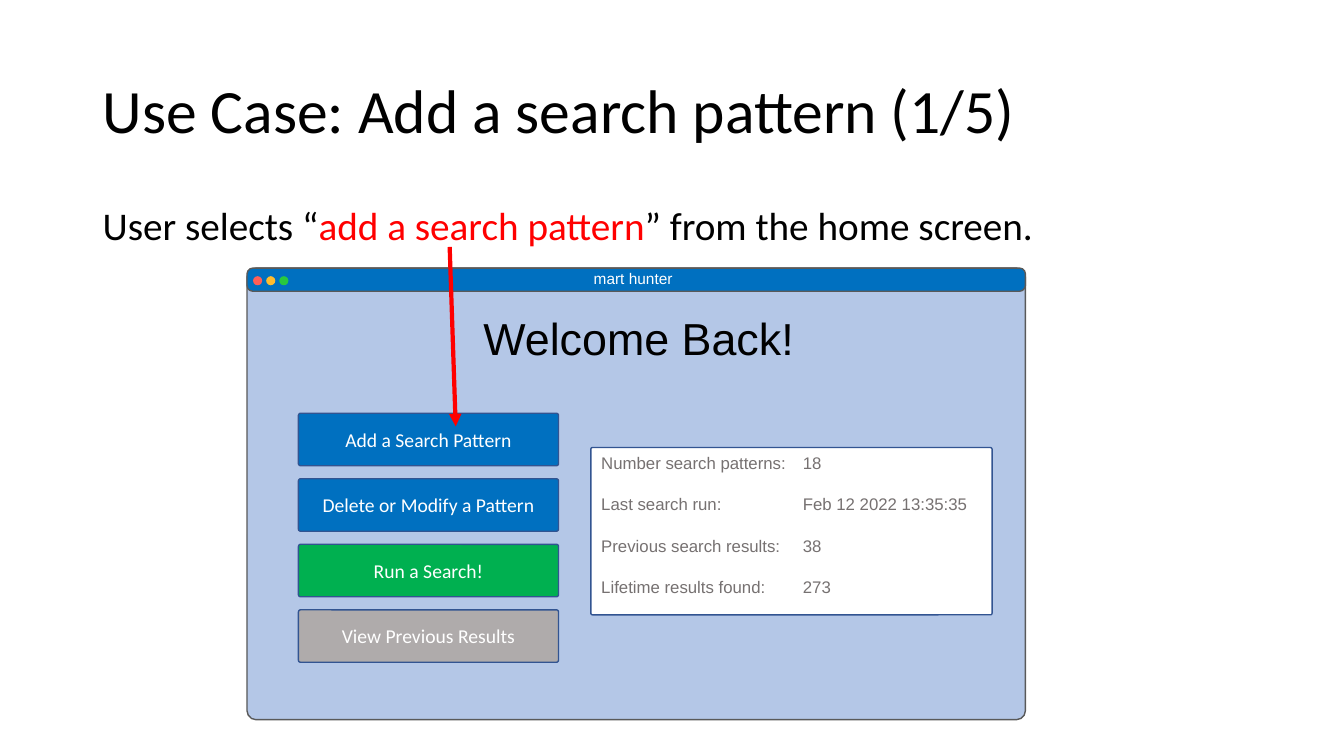
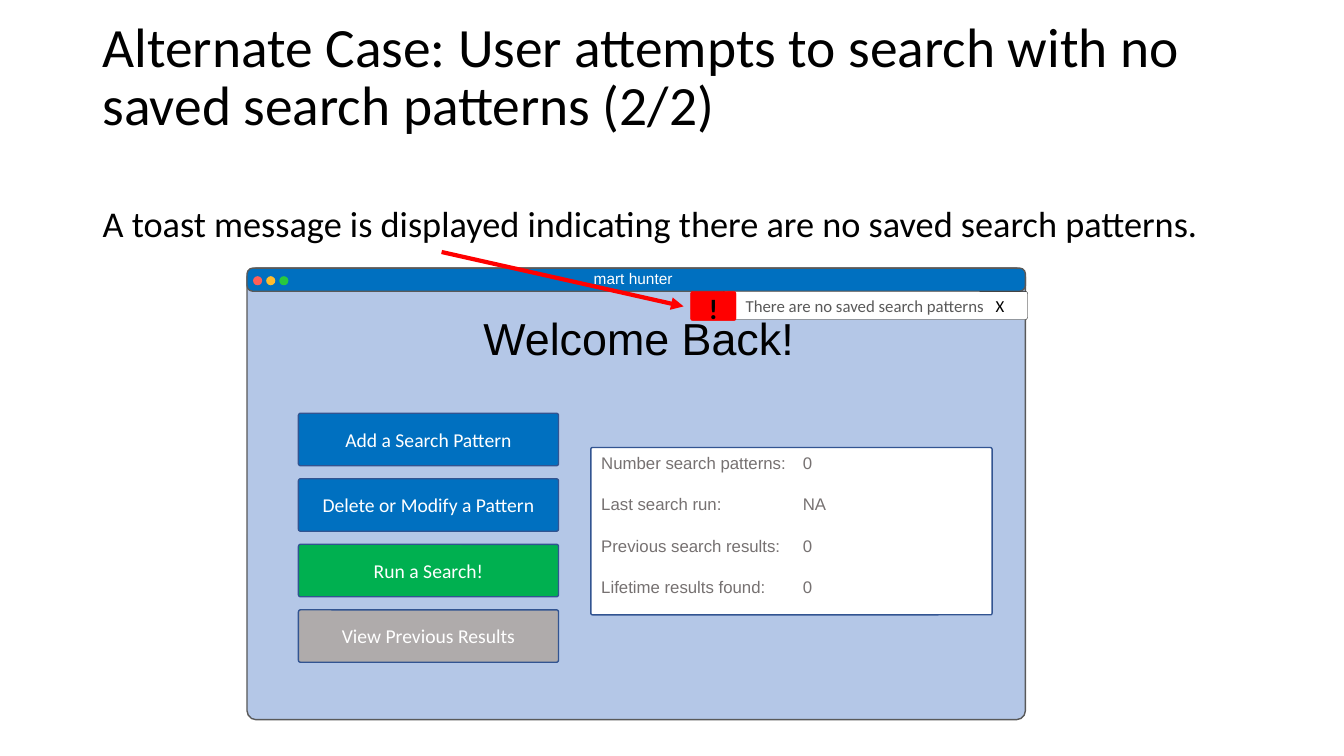
from dataclasses import dataclass
from typing import Any

import pptx
import pptx.dml.color
import pptx.enum.shapes
import pptx.enum.text
import pptx.oxml.ns
import pptx.util
from lxml import etree

Inches = pptx.util.Inches
Pt = pptx.util.Pt
SHAPE = pptx.enum.shapes.MSO_SHAPE
ALIGN = pptx.enum.text.PP_ALIGN
ANCHOR = pptx.enum.text.MSO_ANCHOR
qn = pptx.oxml.ns.qn

COLORS = {
    "text": "000000",
    "white": "FFFFFF",
    "red": "FF0000",
    "window": "B4C7E7",
    "blue": "0070C0",
    "green": "00B050",
    "gray": "AFABAB",
    "frame": "595959",
    "border": "325491",
    "stats": "767171",
    "close": "FF5F57",
    "minimize": "FFBC2E",
    "zoom": "28C840",
}


@dataclass(frozen=True)
class Box:
    left: float
    top: float
    width: float
    height: float


@dataclass(frozen=True)
class Button:
    label: str
    color: str


@dataclass(frozen=True)
class Arrow:
    x1: float
    y1: float
    x2: float
    y2: float


@dataclass(frozen=True)
class Run:
    text: str
    color: str


TITLE = Box(0.92, 0.4, 11.5, 1.45)
BODY = Box(0.92, 2, 11.5, 0.57)
WINDOW = Box(2.45, 2.66, 7.72, 4.48)
TITLE_BAR = Box(2.45, 2.66, 7.72, 0.23)
APP_NAME = Box(5.77, 2.62, 1.02, 0.29)
WELCOME = Box(4.68, 3.03, 3.31, 0.64)
STATS = Box(5.86, 4.44, 3.98, 1.66)
TOAST = Box(7.17, 2.89, 3.02, 0.28)
ALERT = Box(6.85, 2.89, 0.45, 0.29)

DOTS = ["close", "minimize", "zoom"]
BUTTONS = [
    Button("Add a Search Pattern", "blue"),
    Button("Delete or Modify a Pattern", "blue"),
    Button("Run a Search!", "green"),
    Button("View Previous Results", "gray"),
]
STAT_LABELS = [
    "Number search patterns:",
    "Last search run:",
    "Previous search results:",
    "Lifetime results found:",
]


def rgb(name: str) -> Any:
    return pptx.dml.color.RGBColor.from_string(COLORS[name])


def write(sp: Any, paragraphs: list[list[Run]], *, size: float, font: str = "Calibri",
          bold: bool = False, align: Any = ALIGN.LEFT, anchor: Any = ANCHOR.TOP,
          spacing: float = 1.0, after: float = 0, tab: float = 0,
          wrap: bool = True) -> None:
    tf = sp.text_frame
    tf.word_wrap = wrap
    tf.vertical_anchor = anchor
    for i, runs in enumerate(paragraphs):
        p = tf.paragraphs[0] if i == 0 else tf.add_paragraph()
        p.alignment = align
        p.line_spacing = spacing
        p.space_after = Pt(after)
        if tab:
            tabs = etree.SubElement(p._p.get_or_add_pPr(), qn("a:tabLst"))
            etree.SubElement(tabs, qn("a:tab"), pos=str(Inches(tab)), algn="l")
        for run in runs:
            r = p.add_run()
            r.text = run.text
            r.font.size = Pt(size)
            r.font.name = font
            r.font.bold = bold
            r.font.color.rgb = rgb(run.color)


def place(box: Box) -> list[int]:
    return [Inches(v) for v in (box.left, box.top, box.width, box.height)]


def add_text(shapes: Any, box: Box, runs: list[Run], **fmt: Any) -> None:
    write(shapes.add_textbox(*place(box)), [runs], **fmt)


def add_box(shapes: Any, box: Box, fill: str, line: str = "", weight: float = 1,
            kind: Any = SHAPE.ROUNDED_RECTANGLE, adj: float = 0) -> Any:
    sp = shapes.add_shape(kind, *place(box))
    sp.shadow.inherit = False
    sp.fill.solid()
    sp.fill.fore_color.rgb = rgb(fill)
    if line:
        sp.line.color.rgb = rgb(line)
        sp.line.width = Pt(weight)
    else:
        sp.line.fill.background()
    if kind == SHAPE.ROUNDED_RECTANGLE:
        sp.adjustments[0] = adj
    return sp


def add_arrow(s: Any, arrow: Arrow) -> None:
    ends = [Inches(v) for v in (arrow.x1, arrow.y1, arrow.x2, arrow.y2)]
    sp = s.shapes.add_connector(pptx.enum.shapes.MSO_CONNECTOR.STRAIGHT, *ends)
    sp.line.color.rgb = rgb("red")
    sp.line.width = Pt(3)
    etree.SubElement(sp.line._get_or_add_ln(), qn("a:tailEnd"), type="triangle")
    etree.SubElement(sp._element.spPr, qn("a:effectLst"))


def add_home_screen(s: Any, stats: list[str]) -> None:
    shapes = s.shapes.add_group_shape().shapes
    add_box(shapes, WINDOW, "window", "frame", adj=0.02)
    add_box(shapes, TITLE_BAR, "blue", "frame", adj=0.25)
    for i, color in enumerate(DOTS):
        add_box(shapes, Box(2.51 + 0.13 * i, 2.74, 0.09, 0.09), color, kind=SHAPE.OVAL)
    add_text(shapes, APP_NAME, [Run("mart hunter", "white")], size=11, font="Arial",
             align=ALIGN.CENTER, wrap=False)
    add_text(shapes, WELCOME, [Run("Welcome Back!", "text")], size=32, font="Arial",
             align=ALIGN.CENTER, wrap=False)
    for i, button in enumerate(BUTTONS):
        sp = add_box(shapes, Box(2.96, 4.1 + 0.65 * i, 2.58, 0.52), button.color,
                     "border", adj=0.04)
        write(sp, [[Run(button.label, "white")]], size=14, align=ALIGN.CENTER,
              anchor=ANCHOR.MIDDLE)
    sp = add_box(shapes, STATS, "white", "border", adj=0.01)
    rows = [[Run(f"{label}\t{value}", "stats")] for label, value in zip(STAT_LABELS, stats)]
    write(sp, rows, size=12, font="Arial", after=15, tab=2)


def add_toast(s: Any) -> None:
    shapes = s.shapes.add_group_shape().shapes
    sp = add_box(shapes, TOAST, "white", "text", 0.25, adj=0.07)
    sp.text_frame.margin_left = Inches(0.22)
    write(sp, [[Run("There are no saved search patterns\t", "frame"), Run("X", "text")]],
          size=12, anchor=ANCHOR.MIDDLE, tab=2.48)
    sp = add_box(shapes, ALERT, "red", "red", 0.25, adj=0.07)
    sp.text_frame.margin_top = Inches(0.1)
    write(sp, [[Run("!", "text")]], size=20, bold=True, align=ALIGN.CENTER,
          anchor=ANCHOR.MIDDLE)


def add_case(prs: Any, title: str, body: list[Run], stats: list[str], arrow: Arrow, *,
             title_box: Box = TITLE, title_size: float = 44, title_spacing: float = 0.9,
             body_size: float = 28) -> Any:
    s = prs.slides.add_slide(prs.slide_layouts[6])
    add_text(s.shapes, title_box, [Run(title, "text")], size=title_size,
             anchor=ANCHOR.MIDDLE, spacing=title_spacing)
    add_text(s.shapes, BODY, body, size=body_size, spacing=0.9)
    add_home_screen(s, stats)
    add_arrow(s, arrow)
    return s


def main() -> None:
    prs = pptx.Presentation()
    prs.slide_width = Inches(13.33)
    prs.slide_height = Inches(7.5)
    add_case(
        prs,
        "Use Case: Add a search pattern (1/5)",
        [Run("User selects “", "text"), Run("add a search pattern", "red"),
         Run("” from the home screen.", "text")],
        ["18", "Feb 12 2022 13:35:35", "38", "273"],
        Arrow(4.46, 2.45, 4.52, 4.23),
    )
    s = add_case(
        prs,
        "Alternate Case: User attempts to search with no saved search patterns (2/2)",
        [Run("A toast message is displayed indicating there are no saved search patterns.",
             "text")],
        ["0", "NA", "0", "0"],
        Arrow(4.38, 2.5, 6.78, 3.04),
        title_box=Box(0.92, 0.06, 11.5, 1.45),
        title_size=39.6,
        title_spacing=0.87,
        body_size=25.9,
    )
    add_toast(s)
    prs.save("out.pptx")


if __name__ == "__main__":
    main()
